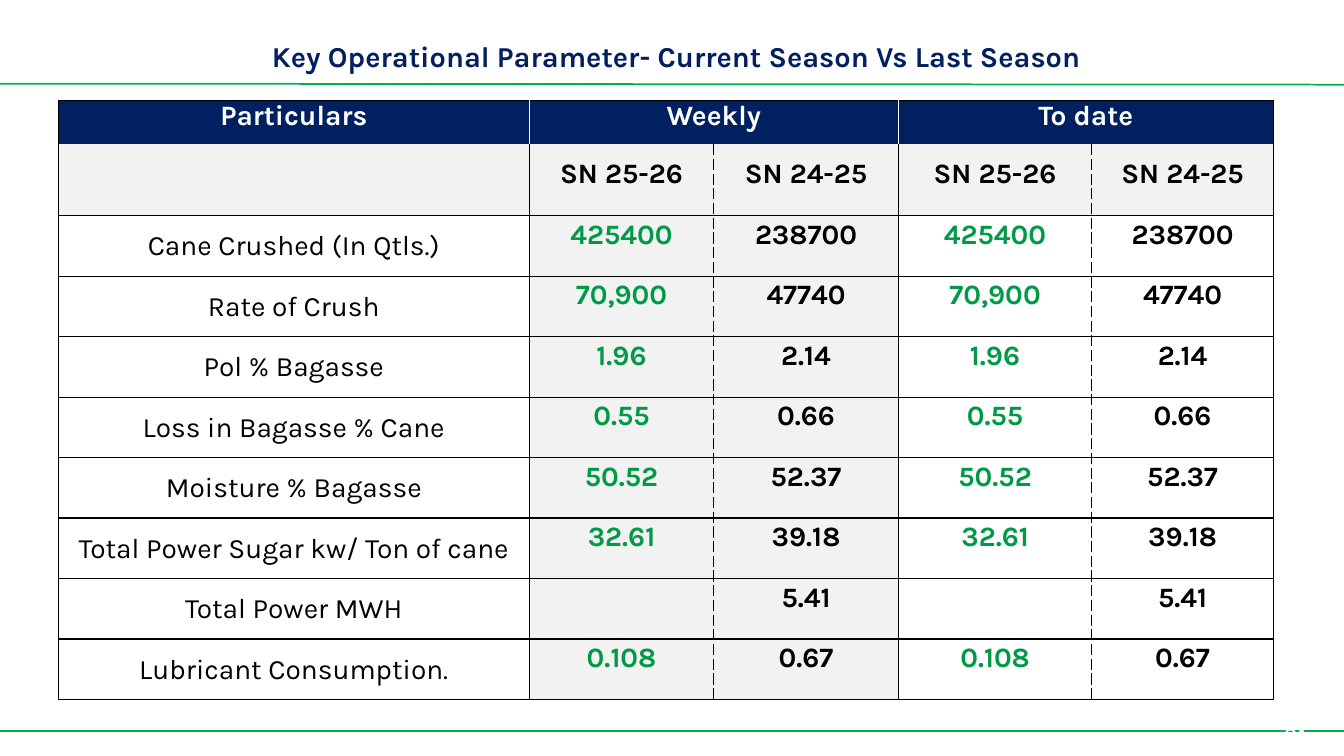
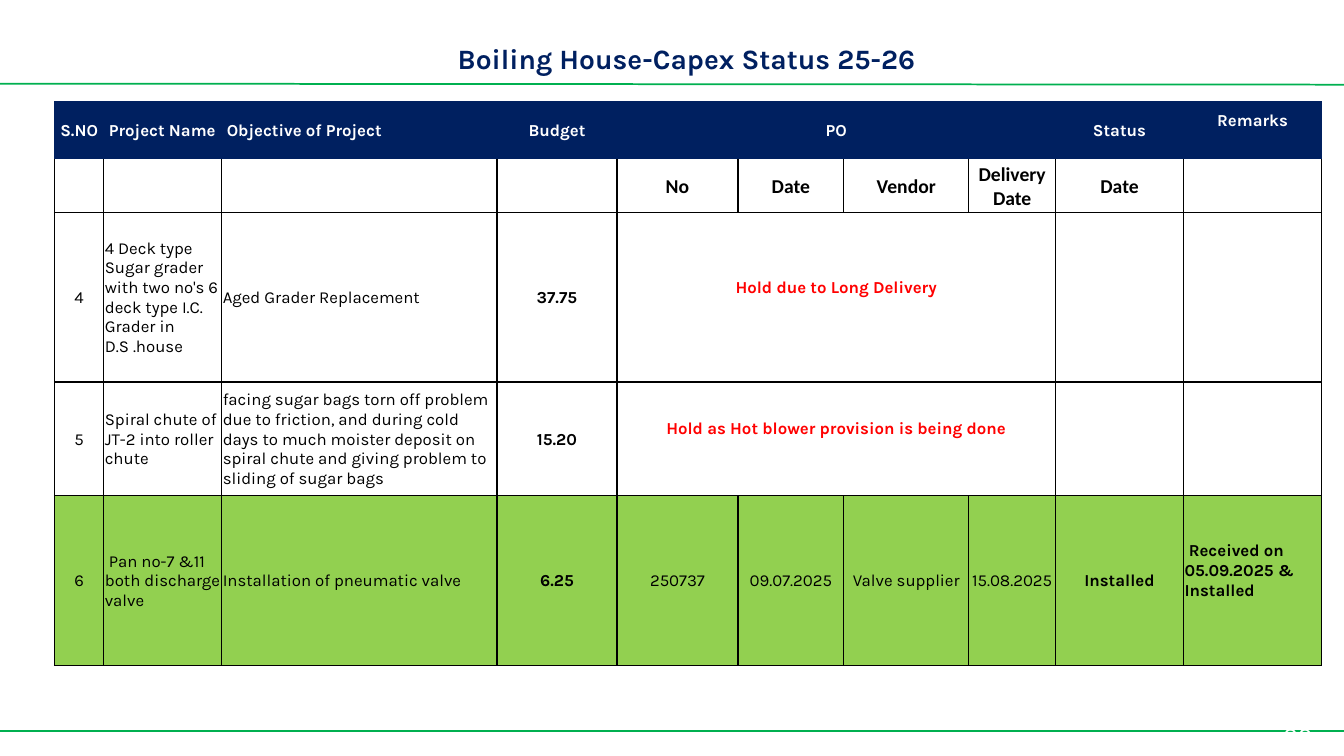
import pptx
import pptx.util
import pptx.dml.color
import pptx.enum.shapes
import pptx.enum.text
import pptx.oxml.ns
from lxml import etree

Inches = pptx.util.Inches
Pt = pptx.util.Pt
RGBColor = pptx.dml.color.RGBColor
ALIGN = pptx.enum.text.PP_ALIGN
MIDDLE = pptx.enum.text.MSO_ANCHOR.MIDDLE
qn = pptx.oxml.ns.qn

NAVY = RGBColor(0x00, 0x20, 0x60)
GREEN = RGBColor(0x00, 0xB0, 0x50)
GOOD = RGBColor(0x00, 0x9A, 0x46)
DONE = RGBColor(0x92, 0xD0, 0x50)
RED = RGBColor(0xFF, 0x00, 0x00)
GREY = RGBColor(0xF2, 0xF2, 0xF2)
WHITE = RGBColor(0xFF, 0xFF, 0xFF)
BLACK = RGBColor(0x00, 0x00, 0x00)
FONT = "Karla"

SOLID = (BLACK, "solid")
DASH = (BLACK, "sysDash")
PALE = (WHITE, "solid")
TIGHT = (0.01, 0.01, 0.01, 0)

SEASONS = ["SN 25-26", "SN 24-25"]
RATES = [
    ("Cane Crushed (In Qtls.)", "425400", "238700"),
    ("Rate of Crush", "70,900", "47740"),
    ("Pol % Bagasse", "1.96", "2.14"),
    ("Loss in Bagasse % Cane", "0.55", "0.66"),
    ("Moisture % Bagasse", "50.52", "52.37"),
    ("Total Power Sugar kw/ Ton of cane", "32.61", "39.18"),
    ("Total Power MWH", "", "5.41"),
    ("Lubricant Consumption.", "0.108", "0.67"),
]
CAPEX = [
    ["S.NO", "Project Name", "Objective of Project", "Budget", "PO", "", "", "",
     "Status", "Remarks"],
    ["", "", "", "", "No", "Date", "Vendor", "Delivery Date", "Date", ""],
    ["4", "4 Deck type Sugar grader with two no's 6 deck type I.C. Grader in D.S .house",
     "Aged Grader Replacement", "37.75", "Hold due to Long Delivery",
     "", "", "", "", ""],
    ["5", "Spiral chute of JT-2 into roller chute",
     "facing sugar bags torn off problem due to friction, and during cold days "
     "to much moister deposit on spiral chute and giving problem to sliding of "
     "sugar bags",
     "15.20", "Hold as Hot blower provision is being done", "", "", "", "", ""],
    ["6", " Pan no-7 &11 both discharge valve", "Installation of pneumatic valve",
     "6.25", "250737", "09.07.2025", "Valve supplier", "15.08.2025",
     "Installed", " Received on 05.09.2025 & Installed"],
]


def write(frame, text, size, color=BLACK, bold=False, align=ALIGN.CENTER,
          font=FONT, space=None):
    para = frame.paragraphs[0]
    para.alignment = align
    if space:
        para.line_spacing = Pt(space)
    run = para.add_run()
    run.text = text
    run.font.name = font
    run.font.size = Pt(size)
    run.font.bold = bold
    run.font.color.rgb = color


def label(slide, box, text, size, color, **style):
    frame = slide.shapes.add_textbox(*map(Inches, box)).text_frame
    frame.word_wrap = True
    write(frame, text, size, color, **style)
    return frame


def rule(slide, top, end):
    """Draw a green line across the slide."""
    line = slide.shapes.add_connector(
        pptx.enum.shapes.MSO_CONNECTOR.STRAIGHT,
        0, Inches(top), Inches(13.33), Inches(end))
    line.line.color.rgb = GREEN
    line.line.width = Pt(1.25)
    etree.SubElement(line._element.spPr, qn("a:effectLst"))


def start(deck, title, box, size, number):
    """Add a slide with its title, green lines and page number."""
    slide = deck.slides.add_slide(deck.slide_layouts[6])
    rule(slide, 0.83, 0.84)
    rule(slide, 7.25, 7.25)
    label(slide, (12.63, 7.1, 0.67, 0.4), number, 18, WHITE, align=ALIGN.LEFT)
    head = label(slide, box, title, size, NAVY, bold=True)
    head.vertical_anchor = MIDDLE
    return slide


def grid(slide, left, top, cols, rows):
    """Add a plain table with the given column widths and row heights."""
    table = slide.shapes.add_table(
        len(rows), len(cols), Inches(left), Inches(top),
        Inches(sum(cols)), Inches(sum(rows))).table
    table.first_row = table.horz_banding = False
    for col, width in zip(table.columns, cols):
        col.width = Inches(width)
    for row, height in zip(table.rows, rows):
        row.height = Inches(height)
    return table


def dress(cell, fill, edges):
    """Set borders (left, right, top, bottom; None hides one), then the fill."""
    props = cell._tc.get_or_add_tcPr()
    for side, edge in zip("LRTB", edges):
        line = etree.SubElement(props, qn("a:ln" + side), w=str(Pt(1)))
        if edge is None:
            etree.SubElement(line, qn("a:noFill"))
            continue
        color, dash = edge
        paint = etree.SubElement(line, qn("a:solidFill"))
        etree.SubElement(paint, qn("a:srgbClr"), val=str(color))
        etree.SubElement(line, qn("a:prstDash"), val=dash)
    if fill is None:
        cell.fill.background()
    else:
        cell.fill.solid()
        cell.fill.fore_color.rgb = fill
    cell.vertical_anchor = MIDDLE


def pad(cell, left, right, top, bottom):
    cell.margin_left, cell.margin_right = Inches(left), Inches(right)
    cell.margin_top, cell.margin_bottom = Inches(top), Inches(bottom)


def rates(slide, left, top):
    """Table of weekly and to-date figures for two seasons."""
    table = grid(slide, left, top, [4.67, 1.83, 1.83, 1.92, 1.8],
                 [0.43, 0.71] + [0.6] * len(RATES))
    for col in (1, 3):
        table.cell(0, col).merge(table.cell(0, col + 1))

    heads = ["Particulars", "Weekly", "", "To date", ""]
    for col, text in enumerate(heads):
        cell = table.cell(0, col)
        dress(cell, NAVY, (PALE if col else SOLID,
                           PALE if col < 3 else SOLID, SOLID, None))
        if text:
            write(cell.text_frame, text, 20, WHITE, True, space=15)

    body = [[""] + SEASONS * 2]
    body += [[name, now, last, now, last] for name, now, last in RATES]
    for row, texts in enumerate(body, 1):
        sub = row == 1
        for col, text in enumerate(texts):
            cell = table.cell(row, col)
            fill = GREY if sub or col in (1, 2) else None if col else WHITE
            dress(cell, fill, (DASH if col in (2, 4) else SOLID,
                               DASH if col in (1, 3) else SOLID,
                               None if sub else SOLID, SOLID))
            if not text:
                continue
            if col == 0:
                pad(cell, *TIGHT)
                write(cell.text_frame, text, 20)
            else:
                color = GOOD if col in (1, 3) and not sub else BLACK
                write(cell.text_frame, text, 20, color, True,
                      space=15 if sub else 8)


def capex(slide, left, top):
    """Table of projects with budget, order and status."""
    table = grid(slide, left, top,
                 [0.49, 1.17, 2.73, 1.19, 1.2, 1.05, 1.24, 0.86, 1.27, 1.37],
                 [0.58, 0.53, 1.68, 1.13, 1.68])
    for row in (0, 2, 3):
        table.cell(row, 4).merge(table.cell(row, 7))

    edges = [(None,) * 4, (SOLID, SOLID, None, SOLID)] + [(SOLID,) * 4] * 3
    fills = [NAVY, None, None, None, DONE]
    for row, texts in enumerate(CAPEX):
        for col, text in enumerate(texts):
            cell = table.cell(row, col)
            dress(cell, fills[row], edges[row])
            if not text:
                continue
            hold = row in (2, 3) and col == 4
            lift = 0.2 if hold or col == 9 else 0
            indent = 0.05 if row == 0 and col in (1, 2) else 0.01
            pad(cell, indent, 0.01, 0.01, lift)
            flush = col in (1, 2) or (row and col == 9)
            write(cell.text_frame, text, 14 if row == 1 else 12,
                  RED if hold else BLACK if row else WHITE,
                  row < 2 or hold or col in (3, 8, 9),
                  ALIGN.LEFT if flush else ALIGN.CENTER,
                  "Calibri" if row == 1 else FONT)


def main():
    deck = pptx.Presentation()
    deck.slide_width, deck.slide_height = Inches(13.33), Inches(7.5)
    slide = start(deck, "Key Operational Parameter- Current Season Vs Last Season",
                  (2.42, 0.29, 8.58, 0.54), 20.6, "31")
    rates(slide, 0.58, 1)
    slide = start(deck, "Boiling House-Capex Status 25-26",
                  (2.57, 0.33, 8.48, 0.5), 20, "39")
    capex(slide, 0.54, 1)
    deck.save("out.pptx")


if __name__ == "__main__":
    main()
